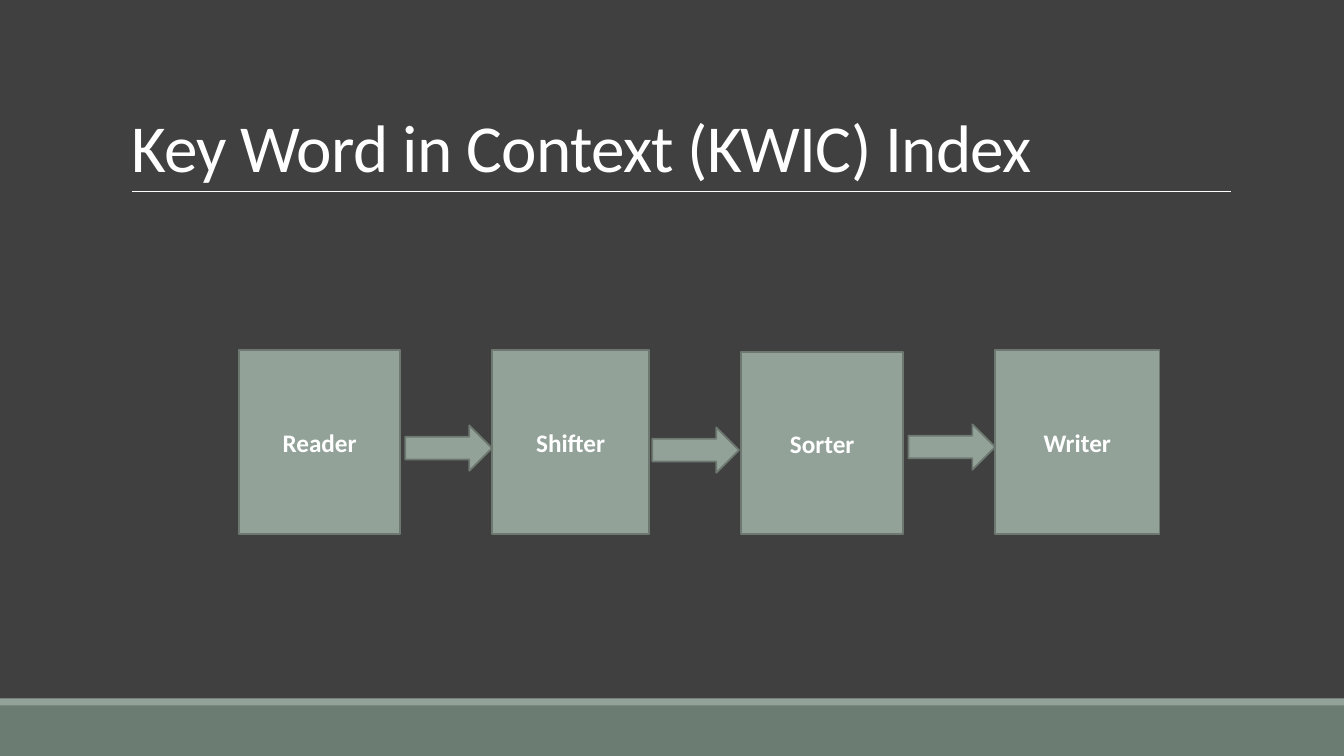
from dataclasses import dataclass

from lxml.etree import SubElement
from pptx import Presentation
from pptx.dml.color import RGBColor
from pptx.enum.shapes import MSO_CONNECTOR, MSO_SHAPE
from pptx.enum.text import MSO_ANCHOR, MSO_AUTO_SIZE, PP_ALIGN
from pptx.oxml.ns import qn
from pptx.util import Pt

PX = 9144  # EMU per px, 100 px to the inch


@dataclass(frozen=True)
class Theme:
    back: str = "404040"
    band: str = "6B7D72"
    sage: str = "93A299"
    edge: str = "6D7871"
    text: str = "FFFFFF"
    font: str = "Calibri"
    head: int = 48
    label: int = 18
    rule: float = 0.5
    line: float = 1.25


THEME = Theme()


def emu(*sizes):
    return [size * PX for size in sizes]


def tint(name):
    return RGBColor.from_string(name)


def add_run(para, text, size, bold=False):
    run = para.add_run()
    run.text = text
    font = run.font
    font.name, font.size, font.bold = THEME.font, Pt(size), bold
    font.color.rgb = tint(THEME.text)
    return run


def add_form(slide, kind, box, fill, edge=None):
    form = slide.shapes.add_shape(kind, *emu(*box))
    form.shadow.inherit = False
    form.fill.solid()
    form.fill.fore_color.rgb = tint(fill)
    if edge:
        form.line.color.rgb = tint(edge)
        form.line.width = Pt(THEME.line)
    else:
        form.line.fill.background()
    return form


# Footer: a thin stripe on top of a wide band
def add_foot(slide, box):
    x, y, w, h = box
    strip = 7
    add_form(slide, MSO_SHAPE.RECTANGLE, (x, y + strip, w, h - strip), THEME.band)
    add_form(slide, MSO_SHAPE.RECTANGLE, (x, y, w, strip), THEME.sage)


# Heading: title with a rule along its lower edge
def add_head(slide, box, text):
    x, y, w, h = box
    base = y + h
    rule = slide.shapes.add_connector(
        MSO_CONNECTOR.STRAIGHT, *emu(x + 11, base, x + w + 1, base))
    rule.line.color.rgb = tint(THEME.text)
    rule.line.width = Pt(THEME.rule)
    SubElement(rule._element.spPr, qn("a:effectLst"))

    title = slide.shapes.title
    title.left, title.top, title.width, title.height = emu(*box)
    frame = title.text_frame
    frame.word_wrap = True
    frame.auto_size = MSO_AUTO_SIZE.NONE
    frame.vertical_anchor = MSO_ANCHOR.BOTTOM
    para = frame.paragraphs[0]
    para.alignment = PP_ALIGN.LEFT
    para.line_spacing = 0.85
    run = add_run(para, text, THEME.head)
    run._r.get_or_add_rPr().set("spc", "-50")


# Pipeline: labelled stages joined by block arrows
def add_flow(slide, box, stages, arrows):
    x, y, w, h = box
    for text, left, top, wide in stages:
        stage = add_form(slide, MSO_SHAPE.RECTANGLE,
                         (x + left, y + top, wide, h - top),
                         THEME.sage, THEME.edge)
        frame = stage.text_frame
        frame.word_wrap = True
        frame.vertical_anchor = MSO_ANCHOR.MIDDLE
        para = frame.paragraphs[0]
        para.alignment = PP_ALIGN.CENTER
        add_run(para, text, THEME.label, bold=True)
    for left, top in arrows:
        add_form(slide, MSO_SHAPE.RIGHT_ARROW, (x + left, y + top, 86, 45),
                 THEME.sage, THEME.edge)


def main():
    deck = Presentation()
    deck.slide_width, deck.slide_height = emu(1333, 750)
    slide = deck.slides.add_slide(deck.slide_layouts.get_by_name("Title Only"))
    slide.background.fill.solid()
    slide.background.fill.fore_color.rgb = tint(THEME.back)

    add_foot(slide, (0, 693, 1333, 57))
    add_head(slide, (120, 31, 1100, 159), "Key Word in Context (KWIC) Index")
    # Each stage: label, left, top, width; each arrow: left, top
    add_flow(slide, (237, 347, 913, 183),
             [("Reader", 0, 0, 160), ("Shifter", 251, 0, 156),
              ("Sorter", 498, 2, 161), ("Writer", 750, 0, 163)],
             [(165, 75), (410, 77), (664, 74)])
    deck.save("out.pptx")


if __name__ == "__main__":
    main()
